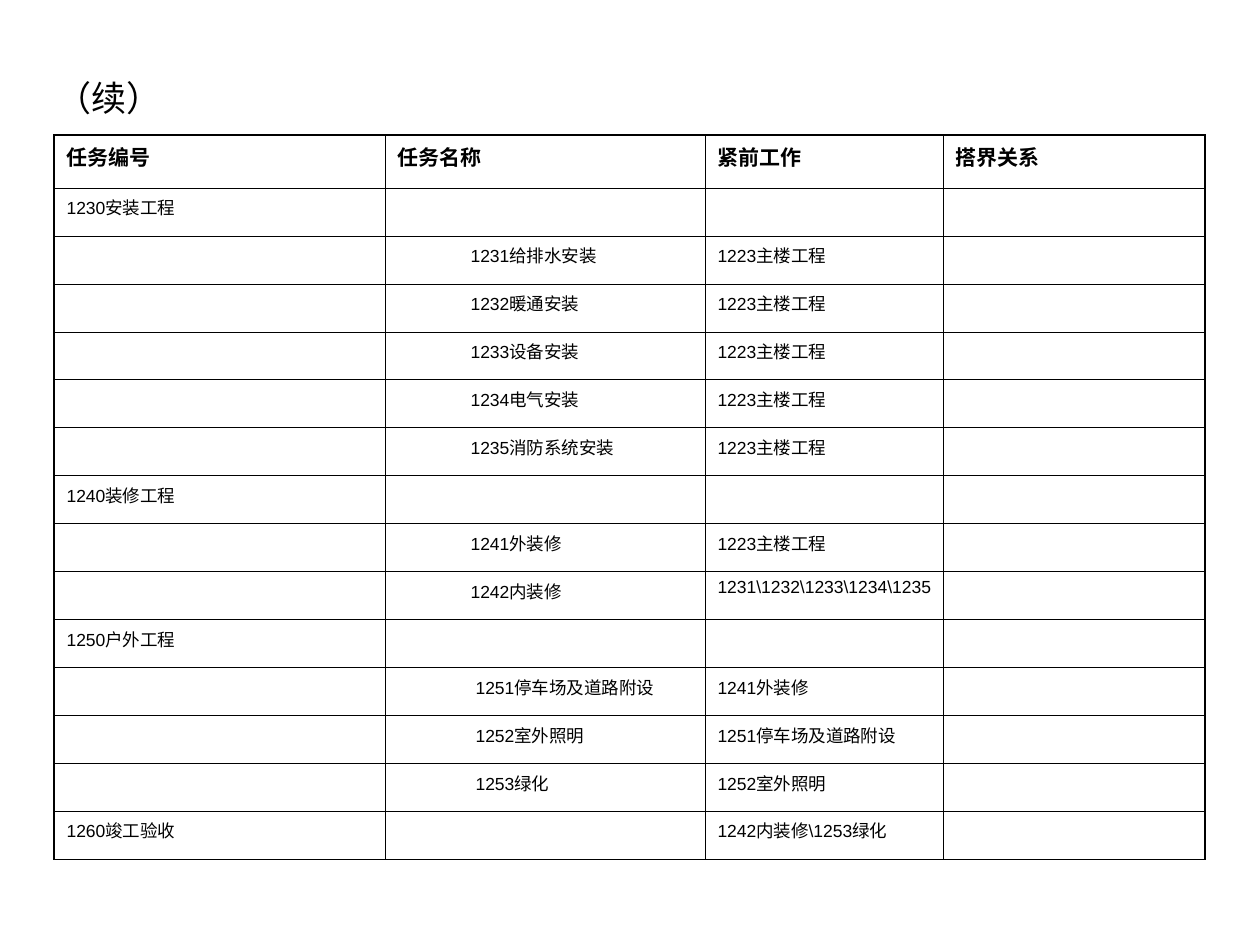
from dataclasses import dataclass

from lxml.etree import SubElement
from pptx import Presentation
from pptx.dml.color import RGBColor
from pptx.enum.text import MSO_ANCHOR, PP_ALIGN
from pptx.oxml.ns import qn
from pptx.util import Emu, Pt

PX = 914400 / 126
COLORS = {"ink": "000000", "paper": "FFFFFF"}
FONT = "Arial"
THIN, THICK = Pt(0.45), Pt(1.08)

TABLE_LEFT, TABLE_TOP = 54, 135
COL_WIDTHS = [331, 320, 238, 262]
HEADER_HEIGHT, ROW_HEIGHT = 53, 48
HEADERS = ["任务编号", "任务名称", "紧前工作", "搭界关系"]
TASK_INDENT, OUTDOOR_INDENT = 73, 78


@dataclass
class Task:
    code: str = ""
    name: str = ""
    before: str = ""
    indent: int = TASK_INDENT

    def cells(self) -> list[str]:
        return [self.code, self.name, self.before, ""]


MAIN_BUILDING = "1223主楼工程"
TASKS = [
    Task(code="1230安装工程"),
    Task(name="1231给排水安装", before=MAIN_BUILDING),
    Task(name="1232暖通安装", before=MAIN_BUILDING),
    Task(name="1233设备安装", before=MAIN_BUILDING),
    Task(name="1234电气安装", before=MAIN_BUILDING),
    Task(name="1235消防系统安装", before=MAIN_BUILDING),
    Task(code="1240装修工程"),
    Task(name="1241外装修", before=MAIN_BUILDING),
    Task(name="1242内装修", before="1231\\1232\\1233\\1234\\1235"),
    Task(code="1250户外工程"),
    Task(name="1251停车场及道路附设", before="1241外装修", indent=OUTDOOR_INDENT),
    Task(name="1252室外照明", before="1251停车场及道路附设", indent=OUTDOOR_INDENT),
    Task(name="1253绿化", before="1252室外照明", indent=OUTDOOR_INDENT),
    Task(code="1260竣工验收", before="1242内装修\\1253绿化"),
]


def px(n: int) -> Emu:
    return Emu(round(n * PX))


def add_text(p, text: str, size: int, bold: bool = False) -> None:
    r = p.add_run()
    r.text = text
    for key, value in {"name": FONT, "size": Pt(size), "bold": bold}.items():
        setattr(r.font, key, value)
    r.font.color.rgb = RGBColor.from_string(COLORS["ink"])


def set_borders(cell, widths: dict[str, int]) -> None:
    tc_pr = cell._tc.get_or_add_tcPr()
    for side, width in widths.items():
        ln = SubElement(tc_pr, qn(f"a:ln{side}"), w=str(int(width)))
        fill = SubElement(ln, qn("a:solidFill"))
        SubElement(fill, qn("a:srgbClr"), val=COLORS["ink"])


def fill_cell(cell, text: str, size: int, bold: bool, indent: int) -> None:
    cell.margin_right = px(8)
    p = cell.text_frame.paragraphs[0]
    if text:
        if indent:
            p._p.get_or_add_pPr().set("marL", str(px(indent)))
        add_text(p, text, size, bold)
    else:
        # An empty cell would otherwise stretch its row to 18 pt text.
        p._p.get_or_add_endParaRPr().set("sz", str(size * 100))
    cell.fill.solid()
    cell.fill.fore_color.rgb = RGBColor.from_string(COLORS["paper"])


def add_task_table(s) -> None:
    n_rows, n_cols = len(TASKS) + 1, len(HEADERS)
    height = HEADER_HEIGHT + ROW_HEIGHT * len(TASKS)
    table = s.shapes.add_table(
        n_rows, n_cols, px(TABLE_LEFT), px(TABLE_TOP), px(sum(COL_WIDTHS)), px(height)
    ).table
    table.first_row = table.horz_banding = False
    for column, width in zip(table.columns, COL_WIDTHS):
        column.width = px(width)
    for i, row in enumerate(table.rows):
        header = i == 0
        row.height = px(HEADER_HEIGHT if header else ROW_HEIGHT)
        texts = HEADERS if header else TASKS[i - 1].cells()
        for j, text in enumerate(texts):
            cell = table.cell(i, j)
            set_borders(cell, {
                "L": THICK if j == 0 else THIN,
                "R": THICK if j == n_cols - 1 else THIN,
                "T": THICK if header else THIN,
                "B": THICK if i == n_rows - 1 else THIN,
            })
            indent = TASKS[i - 1].indent if j == 1 and not header else 0
            fill_cell(cell, text, 12 if header else 10, header, indent)


def set_title(s, text: str) -> None:
    title = s.shapes.title
    box = {"left": 44, "top": 70, "width": 149, "height": 56}
    for key, value in box.items():
        setattr(title, key, px(value))
    tf = title.text_frame
    tf.word_wrap = True
    tf.vertical_anchor = MSO_ANCHOR.TOP
    p = tf.paragraphs[0]
    p.alignment = PP_ALIGN.LEFT
    add_text(p, text, 20)


def main() -> None:
    prs = Presentation()
    prs.slide_width, prs.slide_height = px(1260), px(945)
    s = prs.slides.add_slide(prs.slide_layouts[5])
    add_task_table(s)
    set_title(s, "（续）")
    prs.save("out.pptx")


if __name__ == "__main__":
    main()
